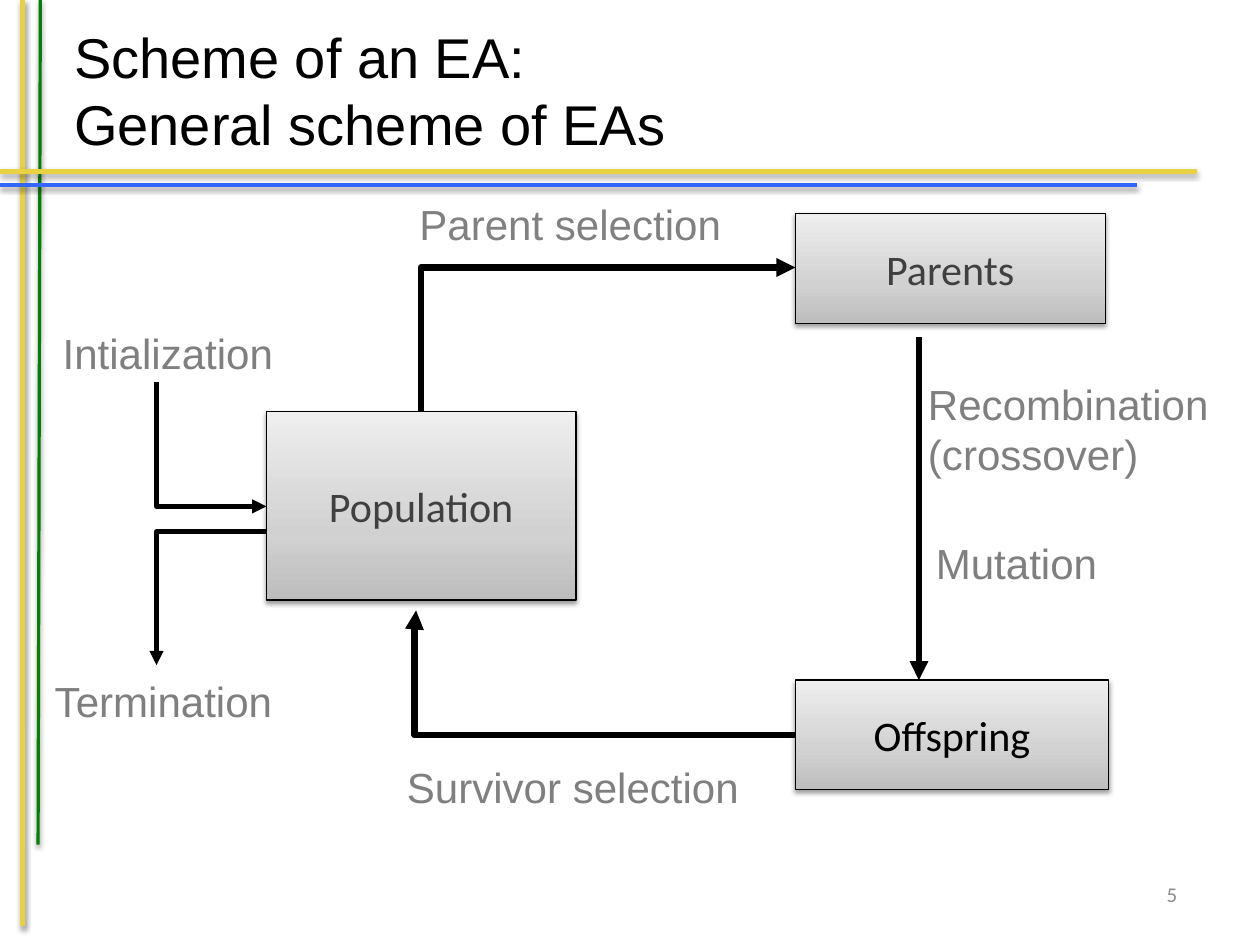
from lxml import etree
from pptx import Presentation, util as u
from pptx.dml.color import RGBColor
from pptx.enum import shapes, text
from pptx.oxml import ns

COLORS = {
    "black": "000000", "yellow": "E8D241", "green": "008000", "blue": "3366FF",
    "label": "7F7F7F", "first label": "808080", "box": "404040", "number": "8C8C8C",
    "dark": "BDBDBD", "middle": "D1D1D1", "light": "EEEEEE",
}
BOX_GRADIENT = [(0, "dark"), (35, "middle"), (100, "light")]


def color_of(name):
    return RGBColor.from_string(COLORS[name])


def add_child(parent, tag, **attributes):
    child = etree.SubElement(parent, ns.qn(tag))
    for key, value in attributes.items():
        child.set(key, str(value))
    return child


def write_text(frame, content, size=26.5, font="Arial", color="label",
               align=text.PP_ALIGN.LEFT, anchor=text.MSO_ANCHOR.TOP,
               wrap=False, grow=False, inset=(7.2, 3.6)):
    frame.word_wrap = wrap
    if grow:
        frame.auto_size = text.MSO_AUTO_SIZE.SHAPE_TO_FIT_TEXT
    frame.vertical_anchor = anchor
    frame.margin_left = frame.margin_right = u.Pt(inset[0])
    frame.margin_top = frame.margin_bottom = u.Pt(inset[1])
    frame.text = content
    for paragraph in frame.paragraphs:
        paragraph.alignment = align
        for run in paragraph.runs:
            run.font.size = u.Pt(size)
            run.font.name = font
            run.font.color.rgb = color_of(color)


class Diagram:
    def __init__(self, slide):
        self.slide = slide

    def effects(self, shape, shadow):
        effect_list = add_child(shape.element.spPr, "a:effectLst")
        if shadow:
            outer = add_child(effect_list, "a:outerShdw", blurRad=u.Pt(3.1),
                              dist=u.Pt(1.6), dir=90 * 60000, rotWithShape=0)
            black = add_child(outer, "a:srgbClr", val=COLORS["black"])
            add_child(black, "a:alpha", val=38000)

    def label(self, content, left, top, width, height, **style):
        box = self.slide.shapes.add_textbox(*map(u.Pt, (left, top, width, height)))
        write_text(box.text_frame, content, **style)

    def box(self, content, left, top, width, height, color="box"):
        shape = self.slide.shapes.add_shape(
            shapes.MSO_SHAPE.RECTANGLE, *map(u.Pt, (left, top, width, height)))
        gradient = etree.Element(ns.qn("a:gradFill"), rotWithShape="1")
        stops = add_child(gradient, "a:gsLst")
        for position, name in BOX_GRADIENT:
            stop = add_child(stops, "a:gs", pos=position * 1000)
            add_child(stop, "a:srgbClr", val=COLORS[name])
        add_child(gradient, "a:lin", ang=270 * 60000, scaled=0)
        shape.element.spPr.find(ns.qn("a:prstGeom")).addnext(gradient)
        shape.line.color.rgb = color_of("black")
        shape.line.width = u.Pt(0.75)
        self.effects(shape, True)
        write_text(shape.text_frame, content, font="Calibri", color=color,
                   align=text.PP_ALIGN.CENTER, anchor=text.MSO_ANCHOR.MIDDLE)

    def line(self, start, end, color="black", width=4, arrow=None,
             shadow=False, kind=shapes.MSO_CONNECTOR.STRAIGHT):
        connector = self.slide.shapes.add_connector(kind, *map(u.Pt, start + end))
        connector.line.color.rgb = color_of(color)
        connector.line.width = u.Pt(width)
        if arrow:
            stroke = connector.element.spPr.find(ns.qn("a:ln"))
            add_child(stroke, arrow, type="triangle")
        self.effects(connector, shadow)
        return connector

    def elbow(self, start, end, turn=270, bend=None, **style):
        across, down = end[0] - start[0], end[1] - start[1]
        width, height = abs(across), abs(down)
        if turn == 270:
            width, height = height, width
        left = (start[0] + end[0] - width) / 2
        top = (start[1] + end[1] - height) / 2
        sides = [left, left + width]
        if turn == 270 and down > 0:
            sides.reverse()
        connector = self.line((sides[0], top), (sides[1], top + height),
                              kind=shapes.MSO_CONNECTOR.ELBOW, **style)
        properties = connector.element.spPr
        properties.find(ns.qn("a:xfrm")).set("rot", str(turn * 60000))
        geometry = properties.find(ns.qn("a:prstGeom"))
        if bend is None:
            geometry.set("prst", "bentConnector2")
        else:
            guides = geometry.find(ns.qn("a:avLst"))
            add_child(guides, "a:gd", name="adj1", fmla=f"val {bend}")


def main():
    presentation = Presentation()
    presentation.slide_width = u.Pt(793.75)
    presentation.slide_height = u.Pt(595.25)
    slide = presentation.slides.add_slide(presentation.slide_layouts[6])
    diagram = Diagram(slide)

    for start, end, color, width in [
        ((14.4, 0), (14.4, 583.2), "yellow", 3),
        ((25.4, 0), (24, 532), "green", 2),
        ((0, 108), (753.8, 108), "yellow", 3),
        ((0, 116.6), (716.4, 116.6), "blue", 2),
    ]:
        diagram.line(start, end, color, width, shadow=True)

    diagram.label("Scheme of an EA:\vGeneral scheme of EAs", 39.6, 7, 714.2, 99.2,
                  size=35.3, color="black", anchor=text.MSO_ANCHOR.MIDDLE, wrap=True)

    diagram.box("Population", 167.8, 259.2, 195.1, 118.8)
    diagram.box("Parents", 501.1, 134.6, 195.1, 69.1)
    diagram.box("Offspring", 501.1, 428.4, 197.3, 69.1, color="black")

    diagram.elbow((265, 259.2), (501.1, 168.5), arrow="a:tailEnd")
    diagram.elbow((501.1, 463), (262.1, 384.5), turn=180, bend=100400,
                  arrow="a:tailEnd")
    diagram.line((578.9, 212.4), (578.9, 428.4), arrow="a:tailEnd")
    diagram.elbow((98.6, 240.5), (167.8, 319), width=3, arrow="a:tailEnd")
    diagram.elbow((98.6, 419), (167.8, 334.8), width=3, arrow="a:headEnd")

    wide, narrow = (7.92, 3.6), (7.2, 3.6)
    for content, left, top, width, height, inset, color in [
        ("Parent selection", 256.3, 121.2, 208.1, 39.6, wide, "first label"),
        ("Survivor selection", 248.4, 475.9, 226.8, 39.6, wide, "label"),
        ("Recombination\n(crossover)", 576.7, 234.7, 194.4, 72, wide, "label"),
        ("Mutation", 581.6, 334.8, 118.8, 39.6, wide, "label"),
        ("Intialization", 32.4, 203, 148.8, 39.6, narrow, "label"),
        ("Termination", 27.4, 421.7, 153, 39.6, narrow, "label"),
    ]:
        diagram.label(content, left, top, width, height, inset=inset,
                      color=color, grow=True)

    diagram.label("5", 694.8, 555.1, 46.8, 43.2, size=13.2, font="Calibri",
                  color="number", align=text.PP_ALIGN.RIGHT, wrap=True, inset=(0, 0))
    presentation.save("out.pptx")


if __name__ == "__main__":
    main()
